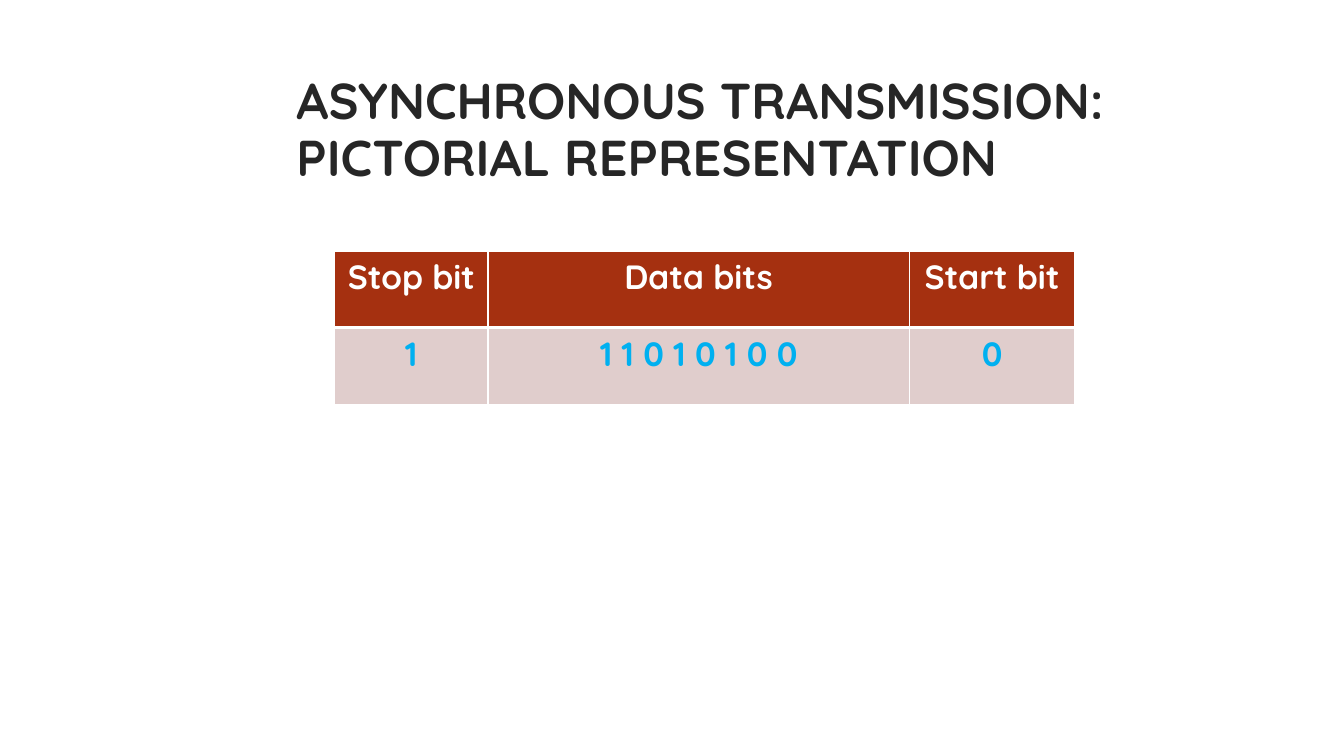
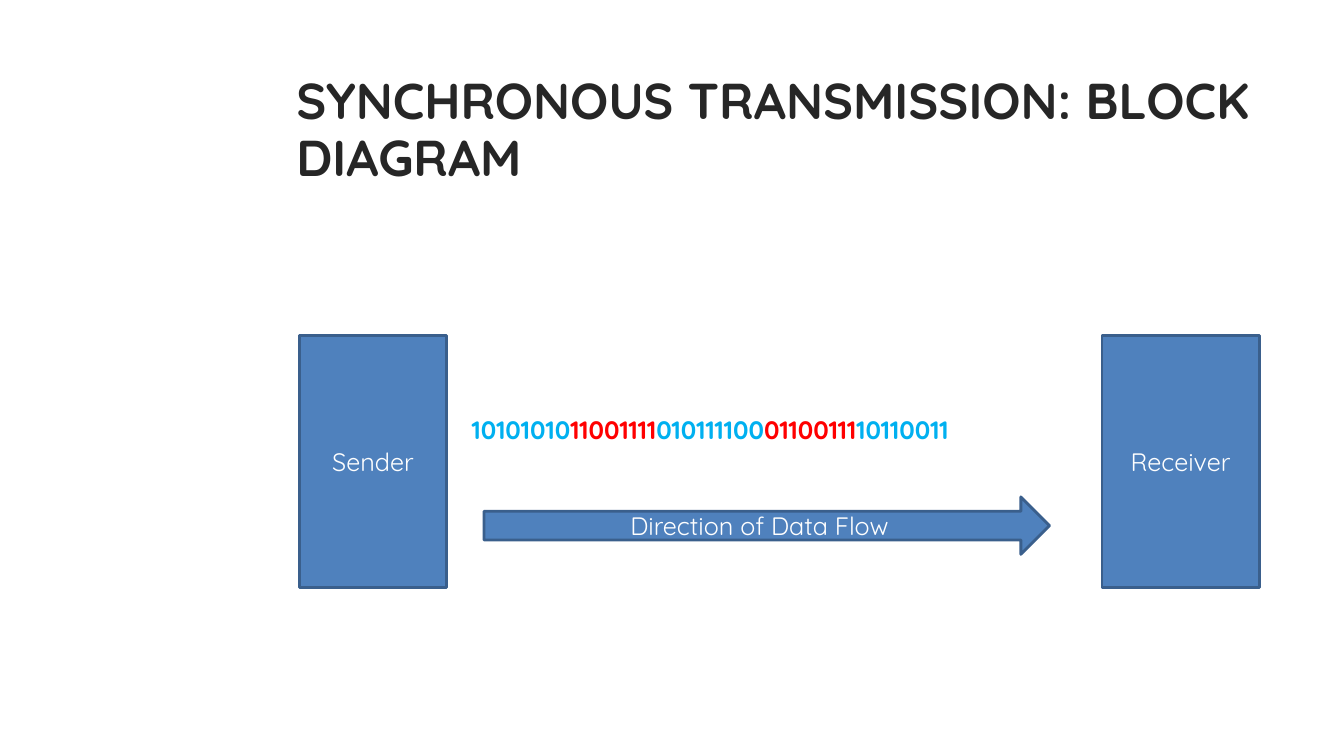
import pptx
import pptx.util
import pptx.dml.color
import pptx.enum.shapes
import pptx.enum.text
import pptx.oxml
import pptx.oxml.ns

Inches = pptx.util.Inches
Pt = pptx.util.Pt
SHAPE = pptx.enum.shapes.MSO_SHAPE
ALIGN = pptx.enum.text.PP_ALIGN
ANCHOR = pptx.enum.text.MSO_ANCHOR

FONT = "Quicksand"
WHITE, DARK = "FFFFFF", "262626"
BLUE, EDGE = "4F81BD", "3A5F8C"
CYAN, RED = "00B0F0", "FF0000"
RUST, ROSE = "A53010", "E0CDCC"


def color(code):
    return pptx.dml.color.RGBColor.from_string(code)


def paint(item, code):
    item.fill.solid()
    item.fill.fore_color.rgb = color(code)


def write(frame, runs, size, bold=False, align=ALIGN.LEFT):
    frame.word_wrap = True
    para = frame.paragraphs[0]
    para.alignment = align
    for text, code in runs:
        run = para.add_run()
        run.text = text
        font = run.font
        font.name, font.size, font.bold = FONT, Pt(size), bold
        font.color.rgb = color(code)


def add_slide(deck, title):
    slide = deck.slides.add_slide(deck.slide_layouts[5])
    head = slide.shapes.title
    head.left, head.top = Inches(2.84), Inches(0.68)
    head.width, head.height = Inches(9.75), Inches(1.4)
    frame = head.text_frame
    frame.auto_size = pptx.enum.text.MSO_AUTO_SIZE.NONE
    frame.vertical_anchor = ANCHOR.TOP
    write(frame, [(title, DARK)], 36, True)
    frame.paragraphs[0].line_spacing = 0.95
    return slide


def add_block(slide, kind, text, left, top, width, height):
    block = slide.shapes.add_shape(
        kind, Inches(left), Inches(top), Inches(width), Inches(height))
    block.shadow.inherit = False
    paint(block, BLUE)
    block.line.color.rgb = color(EDGE)
    block.line.width = Pt(2)
    block.text_frame.vertical_anchor = ANCHOR.MIDDLE
    write(block.text_frame, [(text, WHITE)], 18, align=ALIGN.CENTER)


def add_bits(slide, runs, left, top, width, height):
    box = slide.shapes.add_textbox(
        Inches(left), Inches(top), Inches(width), Inches(height))
    write(box.text_frame, runs, 18, True)


def set_edges(cell, widths):
    props = cell._tc.get_or_add_tcPr()
    for side, width in widths.items():
        props.append(pptx.oxml.parse_xml(
            f'<a:ln{side} {pptx.oxml.ns.nsdecls("a")} w="{Pt(width)}">'
            f'<a:solidFill><a:srgbClr val="{WHITE}"/></a:solidFill>'
            f'</a:ln{side}>'))


def add_grid(slide, rows, styles, left, top, widths, height):
    grid = slide.shapes.add_table(
        len(rows), len(widths), Inches(left), Inches(top),
        Inches(sum(widths)), Inches(height * len(rows))).table
    for col, width in zip(grid.columns, widths):
        col.width = Inches(width)
    for r, (texts, style) in enumerate(zip(rows, styles)):
        fill, ink, upper, lower = style
        for c, text in enumerate(texts):
            cell = grid.cell(r, c)
            set_edges(cell, {"L": 0.96, "R": 0.96, "T": upper, "B": lower})
            paint(cell, fill)
            write(cell.text_frame, [(text, ink)], 24, True, ALIGN.CENTER)


def main():
    deck = pptx.Presentation()
    deck.slide_width, deck.slide_height = Inches(13.33), Inches(7.5)

    slide = add_slide(
        deck, "ASYNCHRONOUS TRANSMISSION: PICTORIAL REPRESENTATION")
    rows = [("Stop bit", "Data bits", "Start bit"),
            ("1", "1 1 0 1 0 1 0 0", "0")]
    styles = [(RUST, WHITE, 0.96, 3), (ROSE, CYAN, 3, 0.96)]
    add_grid(slide, rows, styles, 3.32, 2.49, (1.52, 4.18, 1.64), 0.76)

    slide = add_slide(deck, "SYNCHRONOUS TRANSMISSION: BLOCK DIAGRAM")
    for text, left, width in (("Sender", 2.97, 1.46),
                              ("Receiver", 10.93, 1.56)):
        add_block(slide, SHAPE.RECTANGLE, text, left, 3.33, width, 2.5)
    add_block(slide, SHAPE.RIGHT_ARROW, "Direction of Data Flow",
              4.8, 4.93, 5.61, 0.57)
    runs = [("10101010", CYAN), ("11001111", RED), ("010111100", CYAN),
            ("01100111", RED), ("10110011", CYAN)]
    add_bits(slide, runs, 4.58, 4.06, 6.16, 0.7)

    deck.save("out.pptx")


if __name__ == "__main__":
    main()
